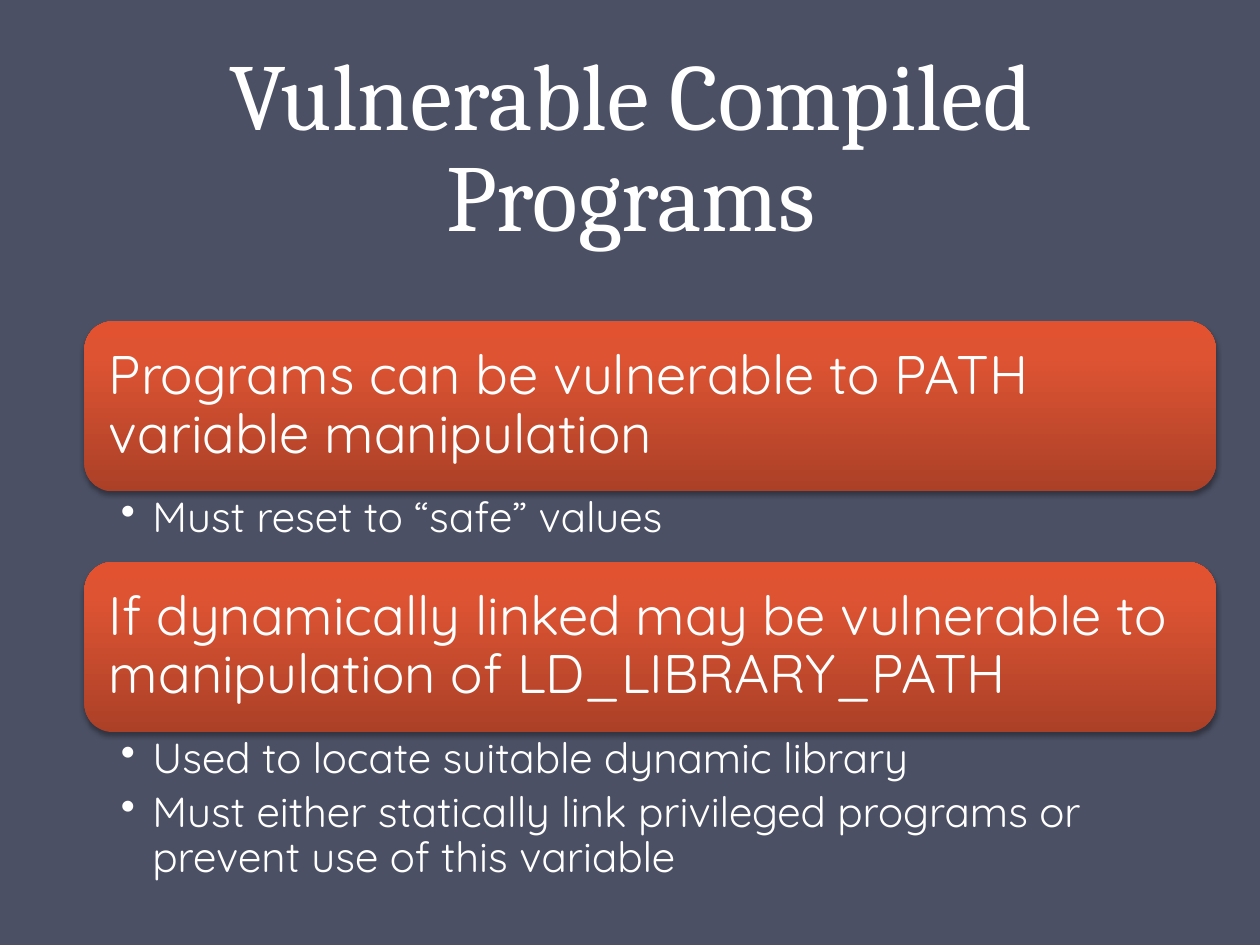
from lxml import etree
from pptx import Presentation
from pptx import util as u
from pptx.dml.color import RGBColor
from pptx.enum import shapes, text
from pptx.oxml import ns

Inches = u.Inches
COLORS = {
    "background": "4B5064",
    "text": "FFFFFF",
    "card_bottom": "AB4027",
    "card_middle": "DE5433",
    "card_top": "E35230",
    "shadow": "000000",
}
HEADING_FONT, BODY_FONT = "Cambria", "Quicksand"
TITLE = "Vulnerable Compiled Programs"
SECTIONS = [
    ("Programs can be vulnerable to PATH variable manipulation",
     ["Must reset to “safe” values"], 0.56),
    ("If dynamically linked may be vulnerable to manipulation of LD_LIBRARY_PATH",
     ["Used to locate suitable dynamic library",
      "Must either statically link privileged programs or prevent use of this variable"], 1.3),
]
CARD_HEIGHT = 1.35


def add_element(parent, tag, **attributes):
    element = etree.SubElement(parent, ns.qn(tag))
    for name, value in attributes.items():
        element.set(name, str(value))
    return element


def add_text_frame(slide, box, margins, anchor):
    frame = slide.shapes.add_textbox(*map(Inches, box)).text_frame
    frame.word_wrap = True
    frame.vertical_anchor = anchor
    frame.margin_left, frame.margin_top, frame.margin_right, frame.margin_bottom = map(
        Inches, margins)
    return frame


def add_run(paragraph, words, font, size):
    run = paragraph.add_run()
    run.text = words
    run.font.name = font
    run.font.size = u.Pt(size)
    run.font.color.rgb = RGBColor.from_string(COLORS["text"])


def add_title(slide, box):
    frame = add_text_frame(slide, box, (0.1, 0.05, 0.1, 0.05), text.MSO_ANCHOR.BOTTOM)
    paragraph = frame.paragraphs[0]
    paragraph.alignment = text.PP_ALIGN.CENTER
    paragraph.line_spacing = u.Pt(58)
    add_run(paragraph, TITLE, HEADING_FONT, 54)


def style_card(shape):
    properties = shape._element.spPr
    gradient = add_element(properties, "a:gradFill", rotWithShape=1)
    stops = add_element(gradient, "a:gsLst")
    for position, name in ((0, "card_bottom"), (80, "card_middle"), (100, "card_top")):
        stop = add_element(stops, "a:gs", pos=position * 1000)
        add_element(stop, "a:srgbClr", val=COLORS[name])
    add_element(gradient, "a:lin", ang=270 * 60000, scaled=0)
    shape.line.fill.background()
    effects = add_element(properties, "a:effectLst")
    shadow = add_element(effects, "a:outerShdw", blurRad=u.Pt(3.1), dist=u.Pt(1.8),
                         dir=90 * 60000, rotWithShape=0)
    color = add_element(shadow, "a:srgbClr", val=COLORS["shadow"])
    add_element(color, "a:alpha", val=35000)


def add_card(slide, box, heading):
    left, top, width, height = box
    card = slide.shapes.add_shape(shapes.MSO_SHAPE.ROUNDED_RECTANGLE, *map(Inches, box))
    style_card(card)
    inset = 0.065
    inner = (left + inset, top + inset, width - 2 * inset, height - 2 * inset)
    frame = add_text_frame(slide, inner, (0.13,) * 4, text.MSO_ANCHOR.MIDDLE)
    paragraph = frame.paragraphs[0]
    paragraph.line_spacing = 0.9
    add_run(paragraph, heading, BODY_FONT, 31)


def add_bullets(slide, box, bullets):
    frame = add_text_frame(slide, box, (0.29, 0.04, 0.24, 0.04), text.MSO_ANCHOR.TOP)
    for index, words in enumerate(bullets):
        paragraph = frame.add_paragraph() if index else frame.paragraphs[0]
        properties = paragraph._p.get_or_add_pPr()
        properties.set("marL", str(Inches(0.25)))
        properties.set("indent", str(Inches(-0.25)))
        add_element(properties, "a:buChar", char="•")
        paragraph.level = 1
        paragraph.line_spacing = 0.9
        paragraph.space_after = u.Pt(5)
        add_run(paragraph, words, BODY_FONT, 24)


def add_sections(slide, left, top, width):
    for heading, bullets, bullets_height in SECTIONS:
        add_card(slide, (left, top, width, CARD_HEIGHT), heading)
        top += CARD_HEIGHT
        add_bullets(slide, (left, top, width, bullets_height), bullets)
        top += bullets_height


def main():
    presentation = Presentation()
    presentation.slide_width, presentation.slide_height = Inches(10), Inches(7.5)
    slide = presentation.slides.add_slide(presentation.slide_layouts[6])
    slide.background.fill.solid()
    slide.background.fill.fore_color.rgb = RGBColor.from_string(COLORS["background"])
    add_title(slide, (0.51, 0.29, 9, 1.75))
    add_sections(slide, 0.67, 2.55, 8.98)
    presentation.save("out.pptx")


if __name__ == "__main__":
    main()
